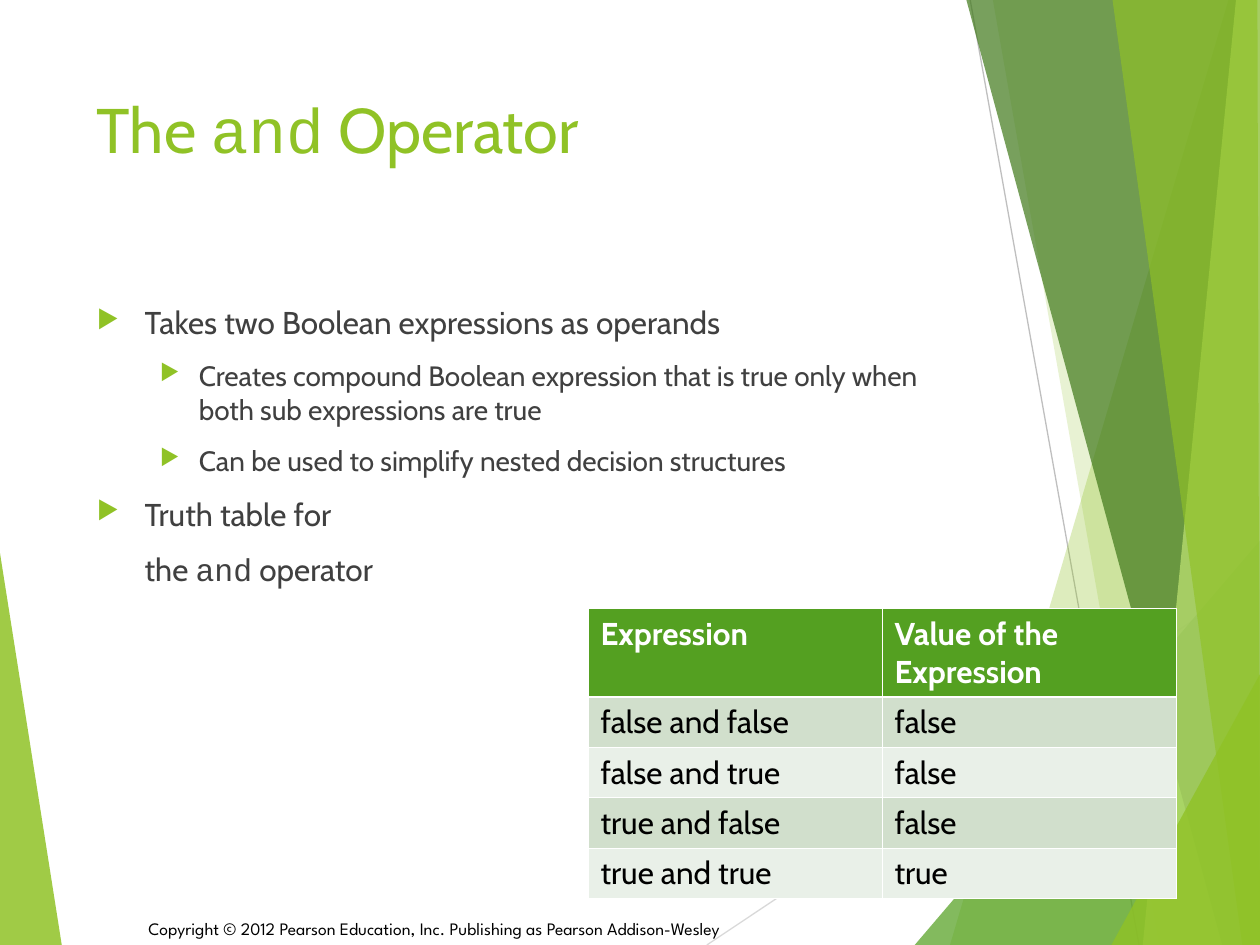
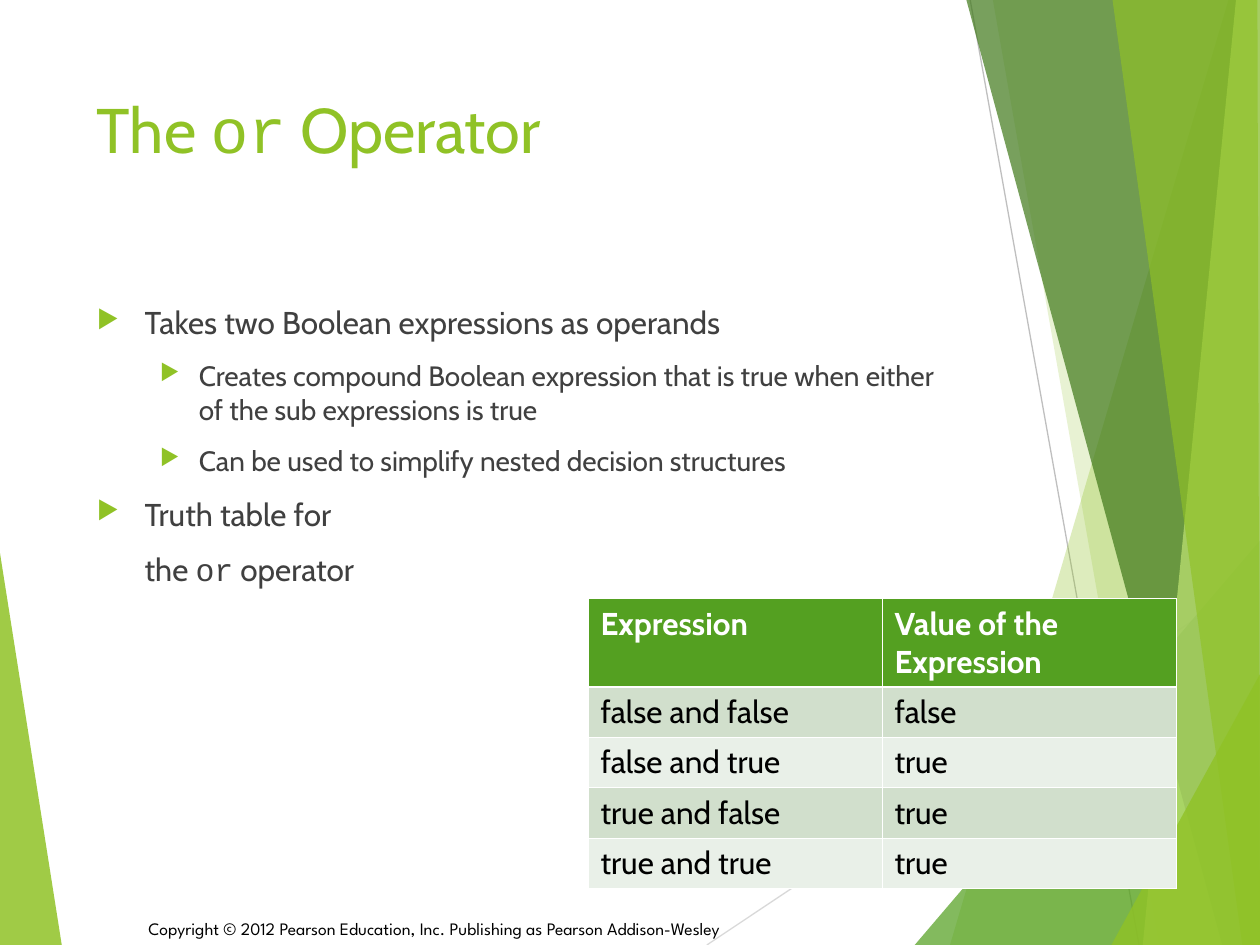
from lxml import etree
from pptx import Presentation
from pptx.dml.color import RGBColor
from pptx.enum.shapes import MSO_CONNECTOR
from pptx.enum.text import MSO_ANCHOR
from pptx.oxml.ns import qn
from pptx.util import Inches, Pt

STRAIGHT = MSO_CONNECTOR.STRAIGHT
TOP, BOTTOM = MSO_ANCHOR.TOP, MSO_ANCHOR.BOTTOM

# ---- Content: "`" marks code; body lines are (level, text) ----
HEADINGS = ("Expression", "Value of the Expression")
OPERANDS = ("false and false", "false and true", "true and false", "true and true")
COPYRIGHT = "Copyright © 2012 Pearson Education, Inc. Publishing as Pearson Addison-Wesley"
OPERATORS = [
    {"word": "and",
     "meaning": "Creates compound Boolean expression that is true only when "
                "both sub expressions are true",
     "values": ("false", "false", "false", "true"),
     "table_top": 4.83},
    {"word": "or",
     "meaning": "Creates compound Boolean expression that is true when either "
                "of the sub expressions is true",
     "values": ("false", "true", "true", "true"),
     "table_top": 4.75},
]

# ---- Shared style ----
WIDTH, HEIGHT = 10, 7.5
SANS, MONO, FOOTER_FONT = "Cabin", "Courier New", "League Spartan"
LIME, GREEN, FOREST, PALE = "90C226", "54A021", "3F7819", "C0E474"
BODY, BLACK, WHITE = "404040", "000000", "FFFFFF"
ROW_BANDS = ("D1DFCC", "E9F0E8")
MARGIN, TEXT_WIDTH = 0.67, 6.94
COLUMN, HEADER_ROW, VALUE_ROW = WIDTH * 0.7 / 3, 0.7, 0.4
THIN, THICK = 0.45, 1.47

# level: (left margin, hanging indent, size, has bullet)
LEVELS = {
    "point": (0.38, -0.38, 18, True),
    "detail": (0.81, -0.31, 16, True),
    "continued": (0.38, 0, 18, False),
}

# (colour, opacity %, corners)
LEFT_WEDGE = (LIME, 85, [(0, 4.39), (0.49, HEIGHT), (0, HEIGHT)])
HAIRLINES = [("D9D9D9", (5.61, HEIGHT), (WIDTH, 4.57)),
             ("BFBFBF", (7.7, 0), (9.04, HEIGHT))]
# Right-hand facets: (colour, opacity %, top x, bottom x)
FACETS_BACK = [(LIME, 30, 9.75, 7.54), (LIME, 20, 7.88, 9.2)]
FACETS_FRONT = [(FOREST, 70, 7.67, 9.7), (PALE, 70, 9.81, 9.07)]
# Right-hand corners: (colour, opacity %, bottom x, top y)
CORNER_BACK = (GREEN, 72, 7.26, 4.29)
CORNER_FRONT = (LIME, 80, 8.82, 5.35)
SLANTED_FACET = (LIME, 65, [(8.83, 0), (9.86, HEIGHT), (WIDTH, HEIGHT), (9.98, 0)])


def rgb(colour):
    return RGBColor.from_string(colour)


def add(parent, tag, **attributes):
    return etree.SubElement(parent, qn(tag), attributes)


# ---- Background ----
def facet(colour, opacity, top_x, bottom_x):
    return colour, opacity, [(top_x, 0), (bottom_x, HEIGHT), (WIDTH, HEIGHT), (WIDTH, 0)]


def corner(colour, opacity, bottom_x, top_y):
    return colour, opacity, [(bottom_x, HEIGHT), (WIDTH, top_y), (WIDTH, HEIGHT)]


def add_polygon(slide, colour, opacity, corners):
    points = [(Inches(x), Inches(y)) for x, y in corners]
    builder = slide.shapes.build_freeform(*points[0])
    builder.add_line_segments(points[1:], close=True)
    polygon = builder.convert_to_shape()
    polygon.shadow.inherit = False
    polygon.line.fill.background()
    polygon.fill.solid()
    polygon.fill.fore_color.rgb = rgb(colour)
    tint = polygon._element.spPr.find(qn("a:solidFill"))[0]
    add(tint, "a:alpha", val=str(opacity * 1000))


def add_hairline(slide, colour, start, end):
    hairline = slide.shapes.add_connector(STRAIGHT, *map(Inches, start + end))
    hairline.line.color.rgb = rgb(colour)
    hairline.line.width = Pt(0.75)
    add(hairline._element.spPr, "a:effectLst")


def add_background(slide):
    add_polygon(slide, *LEFT_WEDGE)
    for hairline in HAIRLINES:
        add_hairline(slide, *hairline)
    polygons = [facet(*f) for f in FACETS_BACK] + [corner(*CORNER_BACK)]
    polygons += [facet(*f) for f in FACETS_FRONT] + [SLANTED_FACET, corner(*CORNER_FRONT)]
    for polygon in polygons:
        add_polygon(slide, *polygon)


# ---- Text ----
def write(paragraph, text, size, colour, font=SANS, bold=False):
    for i, piece in enumerate(text.split("`")):
        if piece:
            run = paragraph.add_run()
            run.text = piece
            if i % 2:
                run.font.name = MONO
    paragraph.font.size = Pt(size)
    paragraph.font.name = font
    paragraph.font.bold = bold
    paragraph.font.color.rgb = rgb(colour)


def add_text_frame(slide, left, top, width, height, anchor=TOP):
    frame = slide.shapes.add_textbox(*map(Inches, (left, top, width, height))).text_frame
    frame.word_wrap = True
    frame.vertical_anchor = anchor
    return frame


def add_body(slide, lines):
    frame = add_text_frame(slide, MARGIN, 2.36, TEXT_WIDTH, 4.24)
    for i, (level, text) in enumerate(lines):
        paragraph = frame.add_paragraph() if i else frame.paragraphs[0]
        margin, indent, size, bulleted = LEVELS[level]
        properties = paragraph._p.get_or_add_pPr()
        properties.set("marL", str(Inches(margin)))
        properties.set("indent", str(Inches(indent)))
        paragraph.space_before = Pt(10 if i else 0)
        if bulleted:
            add(add(properties, "a:buClr"), "a:srgbClr", val=LIME)
            add(properties, "a:buSzPct", val="80000")
            add(properties, "a:buChar", char="▶")
        write(paragraph, text, size, BODY)


# ---- Truth table ----
def style_cell(cell, text, fill, colour, bold, above, below):
    properties = cell._tc.get_or_add_tcPr()
    for side, width in (("L", THIN), ("R", THIN), ("T", above), ("B", below)):
        border = add(properties, f"a:ln{side}", w=str(Pt(width)))
        add(add(border, "a:solidFill"), "a:srgbClr", val=WHITE)
    cell.fill.solid()
    cell.fill.fore_color.rgb = rgb(fill)
    write(cell.text_frame.paragraphs[0], text, 18, colour, bold=bold)


def add_truth_table(slide, top, values):
    rows = [HEADINGS, *zip(OPERANDS, values)]
    heights = [HEADER_ROW] + [VALUE_ROW] * len(values)
    columns = len(HEADINGS)
    table = slide.shapes.add_table(
        len(rows), columns, Inches(WIDTH * 1.4 / 3), Inches(top),
        Inches(COLUMN * columns), Inches(sum(heights))).table
    for column in table.columns:
        column.width = Inches(COLUMN)
    for r, (row, height) in enumerate(zip(rows, heights)):
        table.rows[r].height = Inches(height)
        header = r == 0
        fill = GREEN if header else ROW_BANDS[(r - 1) % 2]
        for c, text in enumerate(row):
            style_cell(table.cell(r, c), text, fill, WHITE if header else BLACK, header,
                       above=THICK if r == 1 else THIN, below=THICK if header else THIN)


# ---- Slides ----
def add_operator_slide(deck, operator):
    slide = deck.slides.add_slide(deck.slide_layouts[6])
    add_background(slide)
    footer = add_text_frame(slide, 1.08, 7.17, 7.16, 0.33, BOTTOM)
    write(footer.paragraphs[0], COPYRIGHT, 10, BLACK, FOOTER_FONT)
    title = add_text_frame(slide, MARGIN, 0.67, TEXT_WIDTH, 1.44)
    write(title.paragraphs[0], f"The `{operator['word']}` Operator", 36, LIME)
    add_body(slide, [
        ("point", "Takes two Boolean expressions as operands"),
        ("detail", operator["meaning"]),
        ("detail", "Can be used to simplify nested decision structures"),
        ("point", "Truth table for"),
        ("continued", f"the `{operator['word']}` operator"),
    ])
    add_truth_table(slide, operator["table_top"], operator["values"])


def main():
    deck = Presentation()
    deck.slide_width, deck.slide_height = Inches(WIDTH), Inches(HEIGHT)
    for operator in OPERATORS:
        add_operator_slide(deck, operator)
    deck.save("out.pptx")


if __name__ == "__main__":
    main()
